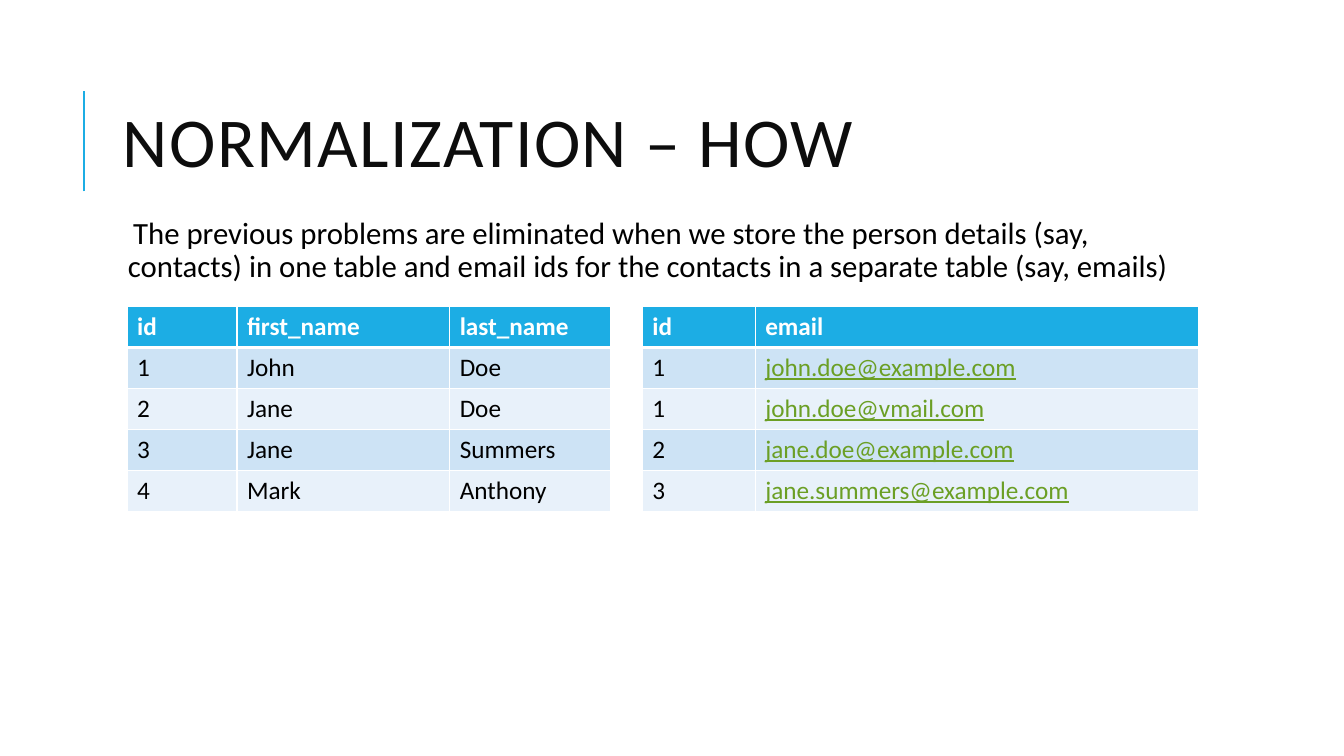
from dataclasses import dataclass

from lxml.etree import SubElement
from pptx import Presentation
from pptx.dml.color import RGBColor
from pptx.enum.shapes import MSO_CONNECTOR
from pptx.enum.text import MSO_ANCHOR
from pptx.oxml.ns import qn
from pptx.util import Emu, Inches, Pt


@dataclass(frozen=True)
class Theme:
    font: str = "Calibri"
    accent: str = "1CADE4"
    title: str = "0D0D0D"
    ink: str = "000000"
    white: str = "FFFFFF"
    link: str = "6B9F25"
    bands: tuple = ("CDE3F5", "E8F1FA")
    title_size: int = 50
    body_size: int = 22
    table_size: int = 18


THEME = Theme()
SLIDE_WIDTH = Inches(13.33)
SLIDE_HEIGHT = Inches(7.5)
ROW_HEIGHT = 5.42
TABLE_TOP = 40.53

CONTACTS = [
    ("id", "first_name", "last_name"),
    ("1", "John", "Doe"),
    ("2", "Jane", "Doe"),
    ("3", "Jane", "Summers"),
    ("4", "Mark", "Anthony"),
]
EMAILS = [
    ("id", "email"),
    ("1", "john.doe@example.com"),
    ("1", "john.doe@vmail.com"),
    ("2", "jane.doe@example.com"),
    ("3", "jane.summers@example.com"),
]


def across(percent):
    return Emu(round(SLIDE_WIDTH * percent / 100))


def down(percent):
    return Emu(round(SLIDE_HEIGHT * percent / 100))


def write(frame, text, *, size, color, bold=False, underline=False,
          line_spacing=None, space_after=None, tracking=None, hanging=None):
    paragraph = frame.paragraphs[0]
    if hanging:
        properties = paragraph._p.get_or_add_pPr()
        properties.set("marL", str(hanging))
        properties.set("indent", str(-hanging))
        SubElement(properties, qn("a:buChar"), char=" ")
    if line_spacing:
        paragraph.line_spacing = line_spacing
    if space_after:
        paragraph.space_after = Pt(space_after)
    run = paragraph.add_run()
    run.text = text
    run.font.name = THEME.font
    run.font.size = Pt(size)
    run.font.bold = bold
    run.font.underline = underline
    run.font.color.rgb = RGBColor.from_string(color)
    if tracking:
        run._r.get_or_add_rPr().set("spc", str(tracking * 100))


def add_text(slide, left, top, width, height, text, *, inset=None,
             anchor=MSO_ANCHOR.TOP, **text_format):
    frame = slide.shapes.add_textbox(
        across(left), down(top), across(width), down(height)).text_frame
    frame.word_wrap = True
    frame.vertical_anchor = anchor
    if inset is not None:
        frame.margin_left = frame.margin_right = inset
        frame.margin_top = frame.margin_bottom = inset
    write(frame, text, **text_format)


def add_accent_line(slide, left, top, bottom):
    accent = slide.shapes.add_connector(
        MSO_CONNECTOR.STRAIGHT, across(left), down(bottom), across(left), down(top))
    accent.line.color.rgb = RGBColor.from_string(THEME.accent)
    accent.line.width = Pt(1.5)
    SubElement(accent._element.spPr, qn("a:effectLst"))


def set_borders(cell, top, bottom):
    properties = cell._tc.get_or_add_tcPr()
    widths = {"a:lnL": 1, "a:lnR": 1, "a:lnT": top, "a:lnB": bottom}
    for side, width in widths.items():
        border = SubElement(properties, qn(side), w=str(Pt(width)))
        fill = SubElement(border, qn("a:solidFill"))
        SubElement(fill, qn("a:srgbClr"), val=THEME.white)


def add_records(slide, left, column_widths, records):
    table = slide.shapes.add_table(
        len(records), len(column_widths), across(left), down(TABLE_TOP),
        across(sum(column_widths)), down(ROW_HEIGHT * len(records))).table
    for column, width in zip(table.columns, column_widths):
        column.width = across(width)
    for row_index, record in enumerate(records):
        table.rows[row_index].height = down(ROW_HEIGHT)
        header = row_index == 0
        background = THEME.accent if header else THEME.bands[(row_index - 1) % 2]
        for column_index, value in enumerate(record):
            cell = table.cell(row_index, column_index)
            is_email = "@" in value
            color = THEME.white if header else THEME.link if is_email else THEME.ink
            set_borders(cell, top=3 if row_index == 1 else 1, bottom=3 if header else 1)
            cell.fill.solid()
            cell.fill.fore_color.rgb = RGBColor.from_string(background)
            write(cell.text_frame, value, size=THEME.table_size, color=color,
                  bold=header, underline=is_email)


def main():
    presentation = Presentation()
    presentation.slide_width = SLIDE_WIDTH
    presentation.slide_height = SLIDE_HEIGHT
    slide = presentation.slides.add_slide(presentation.slide_layouts[6])

    add_accent_line(slide, 6.25, 12, 25.33)
    add_text(slide, 8.4, 8.53, 79.75, 21.87, "NORMALIZATION – HOW",
             anchor=MSO_ANCHOR.MIDDLE, size=THEME.title_size, color=THEME.title,
             line_spacing=0.8, tracking=1)
    add_text(slide, 8.4, 28.13, 79.75, 58.67,
             "The previous problems are eliminated when we store the person details "
             "(say, contacts) in one table and email ids for the contacts in a "
             "separate table (say, emails)",
             inset=Inches(0.05), size=THEME.body_size, color=THEME.ink,
             line_spacing=0.9, space_after=2, hanging=Inches(0.1))
    add_records(slide, 9.45, (8.18, 15.83, 12), CONTACTS)
    add_records(slide, 47.79, (8.4, 33), EMAILS)

    presentation.save("out.pptx")


if __name__ == "__main__":
    main()
